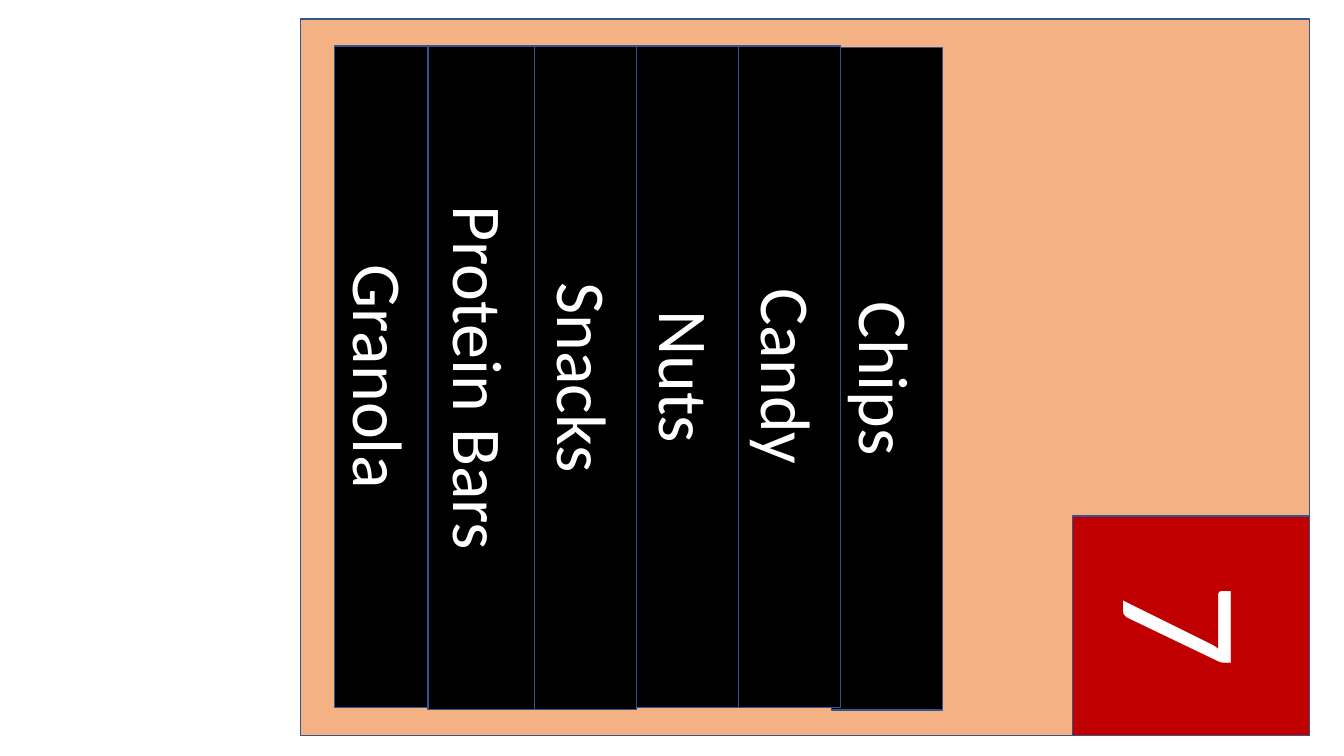
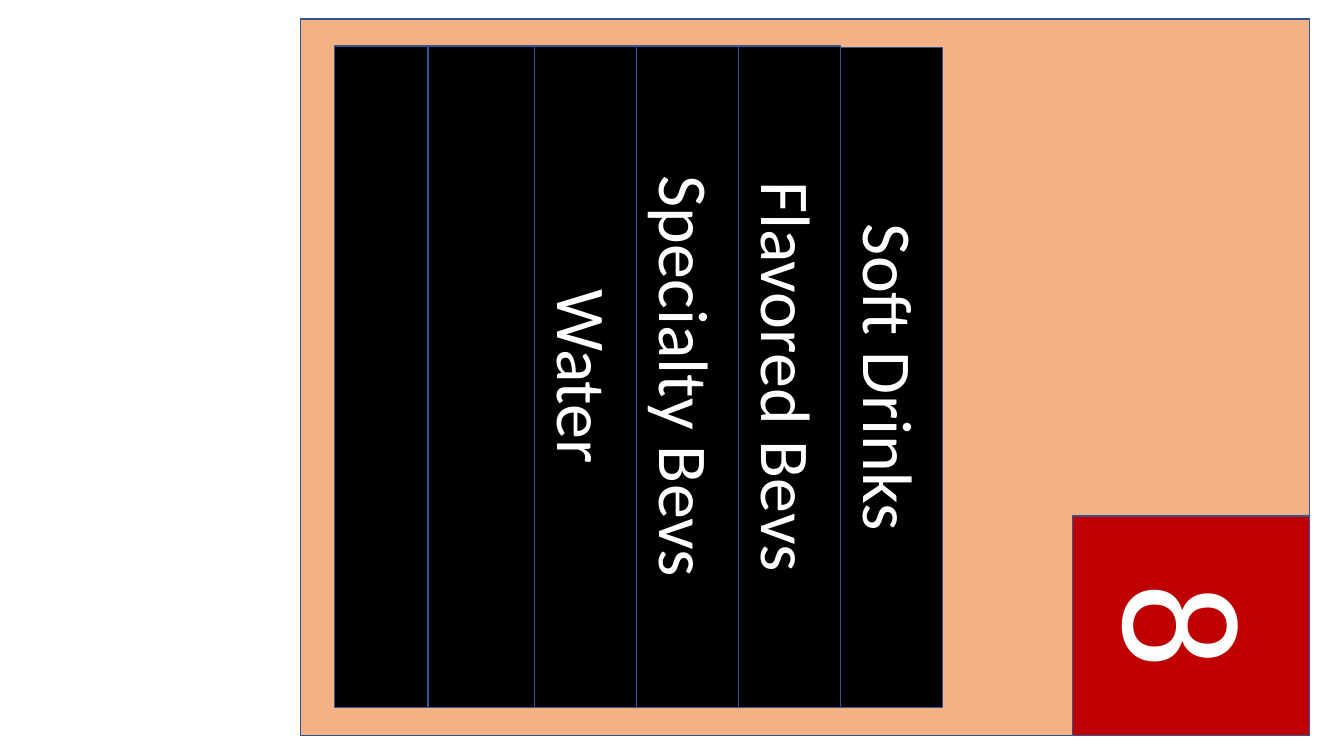
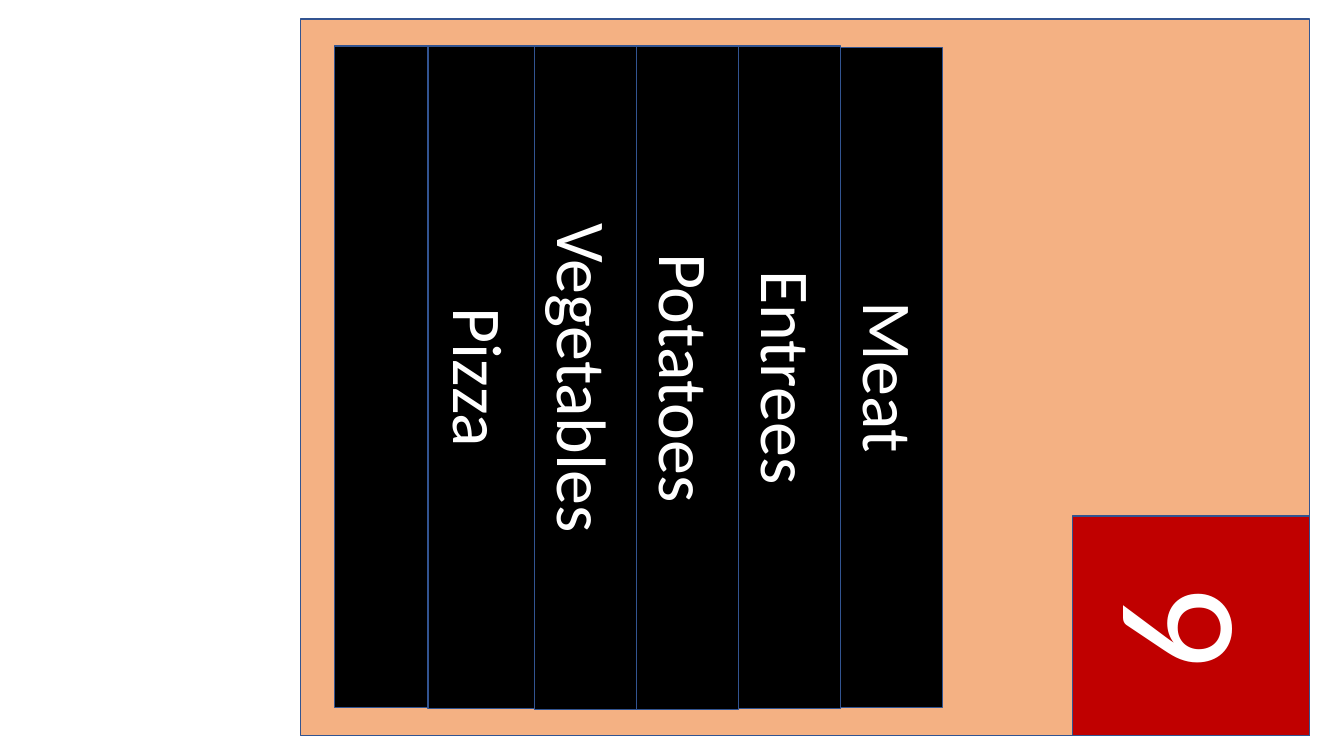
"""Build three sideways menu boards, each with six category bars and a number tile."""
from pptx import Presentation
from pptx.dml.color import RGBColor
from pptx.enum import shapes, text
from pptx.util import Pt

PEACH = RGBColor(0xF4, 0xB1, 0x83)
BLACK = RGBColor(0x00, 0x00, 0x00)
RED = RGBColor(0xC0, 0x00, 0x00)
NAVY = RGBColor(0x32, 0x54, 0x91)
WHITE = RGBColor(0xFF, 0xFF, 0xFF)

PANEL_LEFT, PANEL_TOP, PANEL_WIDTH, PANEL_HEIGHT = 214.6, 13.7, 720.7, 511.9
TILE_WIDTH, TILE_HEIGHT = 169.2, 157
BARS_RIGHT, BAR_TOP, BAR_BOTTOM = 673.2, 32.8, 505.2
BAR_WIDTHS = [72.9] * 4 + [75.8, 67]
FIRST_BAR_DROP = 1.2

# Each bar, from the right: label, extra length at the foot, overlap under the next bar.
BOARDS = {
    "7": [("Chips", 2, 6.2), ("Candy", 0, 0), ("Nuts", 0, 0),
          ("Snacks", 1.8, 0), ("Protein Bars", 1.8, 0), ("Granola", 0, 0)],
    "8": [("Soft Drinks", 0, 0), ("Flavored Bevs", 0, 0), ("Specialty Bevs", 0, 0),
          ("Water", 0, 0), ("", 0, 0), ("", 0, 0)],
    "9": [("Meat", 0, 0), ("Entrees", 1, 0), ("Potatoes", 1.8, 0),
          ("Vegetables", 1.8, 0), ("Pizza", 1, 0), ("", 0, 0)],
}


class BoardDeck:
    """Hold the shared style and the group on the current slide."""

    def __init__(self):
        """Start an empty wide presentation."""
        self.presentation = Presentation()
        self.presentation.slide_width = Pt(960)
        self.presentation.slide_height = Pt(540)
        self.group = None

    def new_slide(self):
        """Add a blank slide holding one group."""
        slide = self.presentation.slides.add_slide(self.presentation.slide_layouts[6])
        self.group = slide.shapes.add_group_shape()

    def block(self, left, top, width, height, fill, label="", size=50):
        """Draw a rectangle turned 90 degrees that covers the given area."""
        shift = (width - height) / 2
        shape = self.group.shapes.add_shape(
            shapes.MSO_SHAPE.RECTANGLE,
            Pt(left + shift), Pt(top - shift), Pt(height), Pt(width))
        shape.rotation = 90
        shape.shadow.inherit = False
        shape.fill.solid()
        shape.fill.fore_color.rgb = fill
        shape.line.color.rgb = NAVY
        shape.line.width = Pt(1)
        if label:
            frame = shape.text_frame
            frame.text = label
            frame.word_wrap = True
            frame.vertical_anchor = text.MSO_ANCHOR.MIDDLE
            paragraph = frame.paragraphs[0]
            paragraph.alignment = text.PP_ALIGN.CENTER
            paragraph.font.name = "Calibri"
            paragraph.font.size = Pt(size)
            paragraph.font.color.rgb = WHITE

    def panel(self):
        """Draw the peach background panel."""
        self.block(PANEL_LEFT, PANEL_TOP, PANEL_WIDTH, PANEL_HEIGHT, PEACH)

    def bars(self, categories):
        """Draw the category bars from right to left."""
        left = BARS_RIGHT
        for index, (width, (label, extra, overlap)) in enumerate(zip(BAR_WIDTHS, categories)):
            left -= width
            top = BAR_TOP + (FIRST_BAR_DROP if index == 0 else 0)
            self.block(left - overlap, top, width + overlap,
                       BAR_BOTTOM + extra - top, BLACK, label)

    def number_tile(self, number):
        """Draw the numbered tile in the panel's lower right corner."""
        self.block(PANEL_LEFT + PANEL_WIDTH - TILE_WIDTH,
                   PANEL_TOP + PANEL_HEIGHT - TILE_HEIGHT,
                   TILE_WIDTH, TILE_HEIGHT, RED, number, 120)


def main():
    """Build and save every board."""
    deck = BoardDeck()
    for number, categories in BOARDS.items():
        deck.new_slide()
        deck.panel()
        deck.bars(categories)
        deck.number_tile(number)
    deck.presentation.save("out.pptx")


if __name__ == "__main__":
    main()
